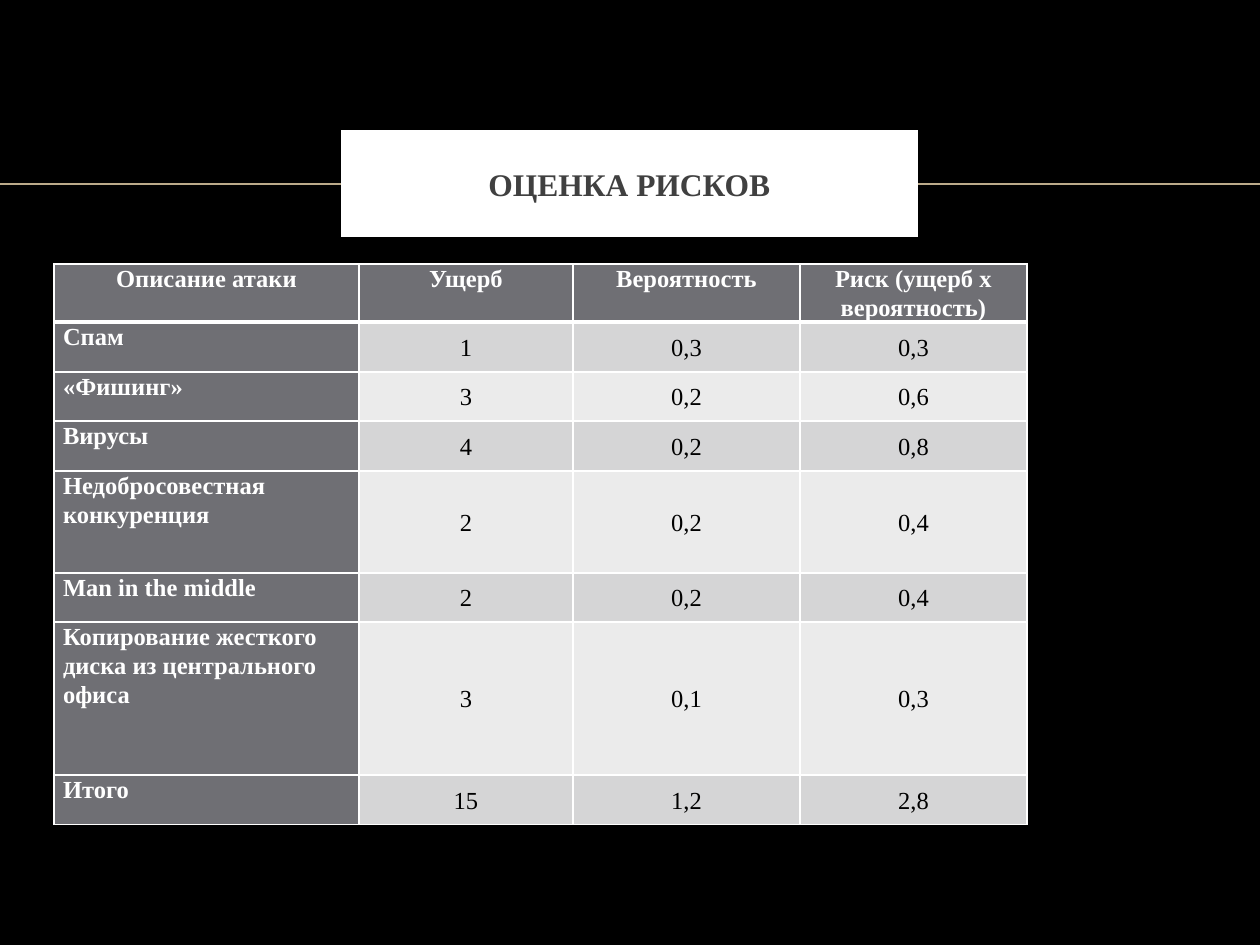
from dataclasses import dataclass

from lxml.etree import SubElement
from pptx import Presentation
from pptx.dml.color import RGBColor
from pptx.enum.shapes import MSO_CONNECTOR, MSO_SHAPE
from pptx.enum.text import MSO_ANCHOR, PP_ALIGN
from pptx.oxml.ns import qn
from pptx.util import Emu, Pt


@dataclass(frozen=True)
class Theme:
    """Colours, font and type sizes of the slide."""
    font: str = "Times New Roman"
    title_size: int = 18
    cell_size: int = 14
    background: str = "000000"
    white: str = "FFFFFF"
    title: str = "404040"
    text: str = "000000"
    rule: str = "BBAA8A"
    header: str = "6F6F74"
    odd: str = "D5D5D6"
    even: str = "EBEBEB"


THEME = Theme()
COLUMNS = [305, 214, 227, 227]
HEIGHTS = [58, 50, 49, 50, 102, 49, 153, 50]
RISKS = [
    ["Описание атаки", "Ущерб", "Вероятность", "Риск (ущерб x вероятность)"],
    ["Спам", "1", "0,3", "0,3"],
    ["«Фишинг»", "3", "0,2", "0,6"],
    ["Вирусы", "4", "0,2", "0,8"],
    ["Недобросовестная конкуренция", "2", "0,2", "0,4"],
    ["Man in the middle", "2", "0,2", "0,4"],
    ["Копирование жесткого диска из центрального офиса", "3", "0,1", "0,3"],
    ["Итого", "15", "1,2", "2,8"],
]


def px(n):
    """Turn pixels into EMU at 126 pixels to the inch."""
    return Emu(round(n * 914400 / 126))


def rgb(color):
    """Return the colour for a hex string."""
    return RGBColor.from_string(color)


def write(tf, text, size, color, bold, align):
    """Put one formatted paragraph into a text frame and return it."""
    tf.text = text
    p = tf.paragraphs[0]
    p.alignment = align
    font = p.runs[0].font
    font.name, font.size, font.bold = THEME.font, Pt(size), bold
    font.color.rgb = rgb(color)
    return p


def add_rule(s, x1, x2, y):
    """Draw the thin horizontal line behind the title."""
    line = s.shapes.add_connector(MSO_CONNECTOR.STRAIGHT, px(x1), px(y), px(x2), px(y))
    line.line.color.rgb = rgb(THEME.rule)
    line.line.width = Pt(1)
    SubElement(line._element.spPr, qn("a:effectLst"))


def add_title(s, text, x, y, w, h):
    """Draw the white title plate with its text."""
    sp = s.shapes.add_shape(MSO_SHAPE.RECTANGLE, px(x), px(y), px(w), px(h))
    sp.shadow.inherit = False
    sp.fill.solid()
    sp.fill.fore_color.rgb = rgb(THEME.white)
    sp.line.color.rgb = rgb(THEME.white)
    sp.line.width = Pt(6)
    SubElement(sp.line._get_or_add_ln(), qn("a:miter"), lim="800000")
    tf = sp.text_frame
    tf.word_wrap = True
    tf.vertical_anchor = MSO_ANCHOR.MIDDLE
    p = write(tf, text, THEME.title_size, THEME.title, True, PP_ALIGN.CENTER)
    p.space_before = Pt(4)


def set_borders(cell, widths):
    """Give a cell white borders of the given widths in points."""
    tc_pr = cell._tc.get_or_add_tcPr()
    for side, width in widths.items():
        ln = SubElement(tc_pr, qn(f"a:ln{side}"), w=str(Pt(width)))
        SubElement(SubElement(ln, qn("a:solidFill")), qn("a:srgbClr"), val=THEME.white)


def style_cell(cell, text, row, col):
    """Fill in one cell according to its row and column."""
    heading = row == 0 or col == 0
    set_borders(cell, {"L": 1, "R": 1, "T": 3 if row == 1 else 1, "B": 3 if row == 0 else 1})
    cell.fill.solid()
    band = THEME.odd if row % 2 else THEME.even
    cell.fill.fore_color.rgb = rgb(THEME.header if heading else band)
    cell.margin_left = cell.margin_right = px(9)
    cell.margin_top = cell.margin_bottom = 0
    cell.vertical_anchor = MSO_ANCHOR.TOP if heading else MSO_ANCHOR.MIDDLE
    align = PP_ALIGN.LEFT if row and not col else PP_ALIGN.CENTER
    color = THEME.white if heading else THEME.text
    p = write(cell.text_frame, text, THEME.cell_size, color, heading, align)
    p.line_spacing = 1.07


def add_risk_table(s, x, y):
    """Build the table of risks."""
    table = s.shapes.add_table(len(RISKS), len(COLUMNS), px(x), px(y),
                               px(sum(COLUMNS)), px(sum(HEIGHTS))).table
    for column, width in zip(table.columns, COLUMNS):
        column.width = px(width)
    for i, (height, values) in enumerate(zip(HEIGHTS, RISKS)):
        table.rows[i].height = px(height)
        for j, text in enumerate(values):
            style_cell(table.cell(i, j), text, i, j)


def main():
    """Build and save the slide."""
    prs = Presentation()
    prs.slide_width, prs.slide_height = px(1260), px(945)
    s = prs.slides.add_slide(prs.slide_layouts[6])
    s.background.fill.solid()
    s.background.fill.fore_color.rgb = rgb(THEME.background)
    add_rule(s, 0, 1260, 184)
    add_risk_table(s, 54, 264)
    add_title(s, "ОЦЕНКА РИСКОВ", 346, 135, 567, 97)
    prs.save("out.pptx")


if __name__ == "__main__":
    main()
